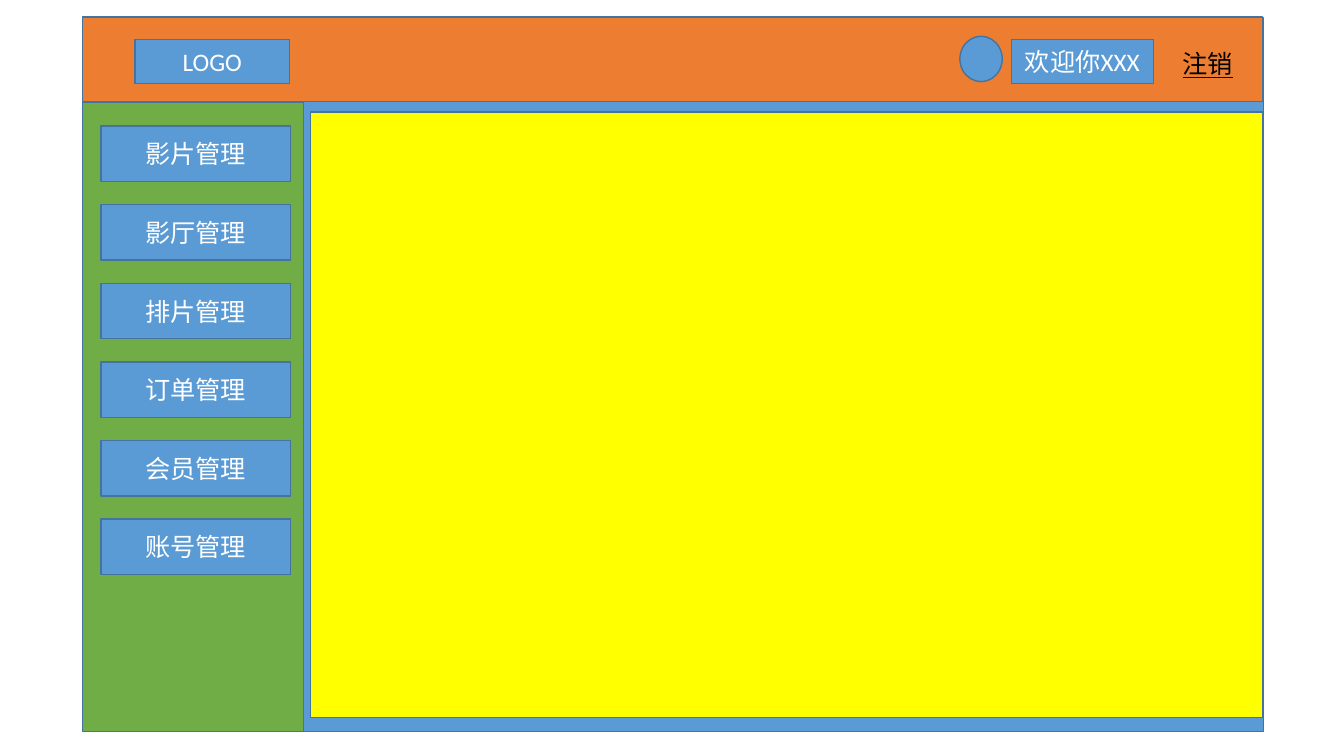
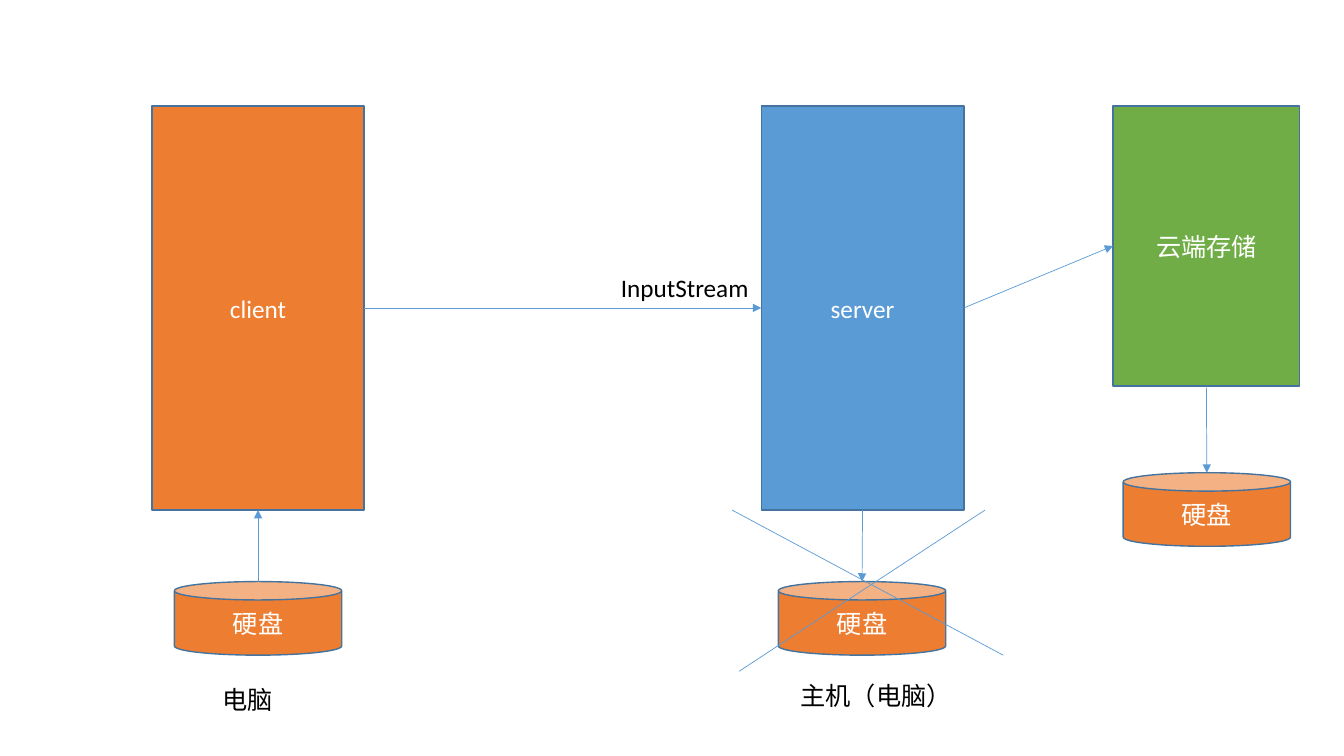
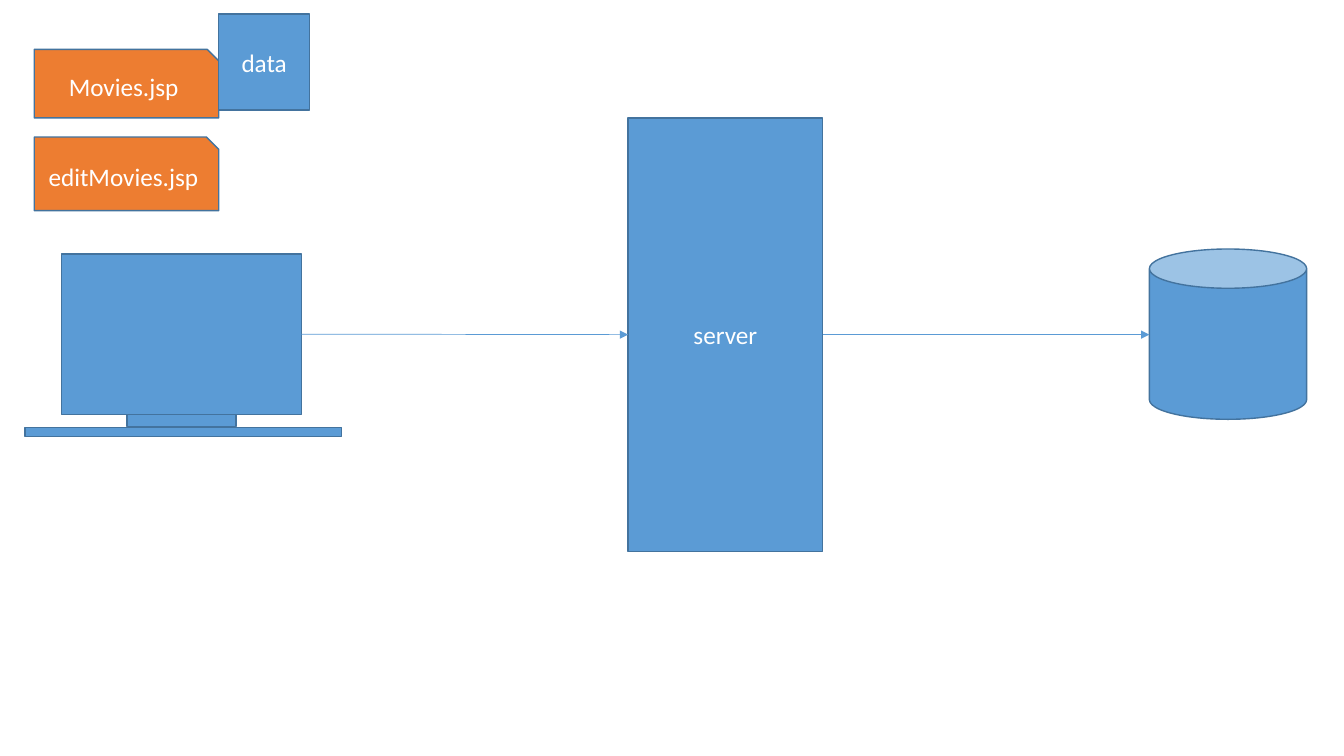
import dataclasses

import pptx
import pptx.dml.color
import pptx.enum.shapes
import pptx.enum.text
import pptx.oxml.ns
import pptx.util
from lxml import etree

KIND = pptx.enum.shapes.MSO_SHAPE
TOP, LEFT, BOTTOM, RIGHT = range(4)


@dataclasses.dataclass(frozen=True)
class Theme:
    blue: str = "5B9BD5"
    orange: str = "ED7D31"
    green: str = "70AD47"
    yellow: str = "FFFF00"
    outline: str = "43739E"
    light: str = "FFFFFF"
    dark: str = "000000"
    font: str = "Calibri"
    text_size: float = 18
    outline_width: float = 1
    connector_width: float = 0.5


THEME = Theme()

# Square grid of one-inch cells: all positions are (column, row)
CELL = pptx.util.Inches(1)
COLUMNS, ROWS = 13.33, 7.5


def grid(*cells):
    return [round(cell * CELL) for cell in cells]


def color(value):
    return pptx.dml.color.RGBColor.from_string(value)


# Element kinds

def write(shape, text, text_color, align, underline=None):
    frame = shape.text_frame
    frame.word_wrap = False
    frame.text = text
    paragraph = frame.paragraphs[0]
    paragraph.alignment = align
    for run in paragraph.runs:
        run.font.name = THEME.font
        run.font.size = pptx.util.Pt(THEME.text_size)
        run.font.color.rgb = color(text_color)
        run.font.underline = underline


def add_block(shapes, box, fill=THEME.blue, text="", kind=KIND.RECTANGLE):
    shape = shapes.add_shape(kind, *grid(*box))
    shape.shadow.inherit = False
    shape.fill.solid()
    shape.fill.fore_color.rgb = color(fill)
    shape.line.color.rgb = color(THEME.outline)
    shape.line.width = pptx.util.Pt(THEME.outline_width)
    if text:
        shape.text_frame.vertical_anchor = pptx.enum.text.MSO_ANCHOR.MIDDLE
        write(shape, text, THEME.light, pptx.enum.text.PP_ALIGN.CENTER)
    return shape


def add_caption(shapes, box, text, underline=None):
    caption = shapes.add_textbox(*grid(*box))
    write(caption, text, THEME.dark, pptx.enum.text.PP_ALIGN.LEFT, underline)


def add_line(shapes, start, end, arrow=True):
    """Each end is a (column, row) point or a (shape, side) pair."""
    points = [grid(*place) if isinstance(place[0], (int, float)) else (0, 0)
              for place in (start, end)]
    line = shapes.add_connector(pptx.enum.shapes.MSO_CONNECTOR.STRAIGHT,
                                *points[0], *points[1])
    for place, connect in ((start, line.begin_connect), (end, line.end_connect)):
        if not isinstance(place[0], (int, float)):
            connect(*place)
    line.line.color.rgb = color(THEME.blue)
    line.line.width = pptx.util.Pt(THEME.connector_width)
    properties = line.line._get_or_add_ln()
    if arrow:
        etree.SubElement(properties, pptx.oxml.ns.qn("a:tailEnd"), type="triangle")
    etree.SubElement(properties.getparent(), pptx.oxml.ns.qn("a:effectLst"))


def add_disk(shapes, center, top):
    """Draw a disk and return the middle of its top edge."""
    width, height = 1.66, 0.73
    add_block(shapes, (center - width / 2, top, width, height),
              THEME.orange, "硬盘", KIND.CAN)
    return center, top


# Slides

def build_admin_page(shapes):
    # Page frame and header
    left, top, width = 0.82, 0.17, 11.7
    header_height, header_row, button_height = 0.84, 0.39, 0.44
    add_block(shapes, (left + 0.01, top + 0.01, width, 7.08))
    add_block(shapes, (left, top, width, header_height), THEME.orange)
    add_block(shapes, (1.34, header_row, 1.53, button_height), text="LOGO")
    add_block(shapes, (10.03, header_row, 1.41, button_height), text="欢迎你XXX")
    add_caption(shapes, (11.63, 0.43, 0.71, 0.4), "注销", underline=True)
    add_block(shapes, (9.52, 0.36, 0.42, 0.45), kind=KIND.OVAL)

    # Side menu
    add_block(shapes, (left, top + header_height + 0.01, 2.19, 6.24), THEME.green)
    menu_top, menu_pitch = 1.25, 0.78
    for index, subject in enumerate(("影片", "影厅", "排片", "订单", "会员", "账号")):
        add_block(shapes, (1, menu_top + index * menu_pitch, 1.88, 0.55),
                  text=subject + "管理")

    # Content area
    add_block(shapes, (3.08, 1.11, 9.44, 6.01), THEME.yellow)


def build_upload_flow(shapes):
    # Machines
    top, height = 1.05, 4.01
    bottom = top + height
    server = add_block(shapes, (7.55, top, 2.01, height), text="server")
    client = add_block(shapes, (1.51, top, 2.1, height), THEME.orange, "client")
    storage = add_block(shapes, (11.04, top, 1.85, 2.78), THEME.green, "云端存储")

    # Disks and captions
    disk_row = 5.77
    client_disk = add_disk(shapes, 2.56, disk_row)
    server_disk = add_disk(shapes, 8.55, disk_row)
    storage_disk = add_disk(shapes, 11.97, 4.69)
    add_caption(shapes, (2.11, 6.74, 0.71, 0.4), "电脑")
    add_caption(shapes, (7.84, 6.7, 1.72, 0.4), "主机（电脑）")
    add_caption(shapes, (6.06, 2.65, 1.48, 0.4), "InputStream")

    # Data flow
    for start, end in ((client_disk, (client, BOTTOM)),
                       ((client, RIGHT), (server, LEFT)),
                       ((server, BOTTOM), server_disk),
                       ((storage, BOTTOM), storage_disk),
                       ((server, RIGHT), (storage, LEFT))):
        add_line(shapes, start, end)

    # Cross over the server disk
    add_line(shapes, (7.26, bottom), (9.95, 6.5), arrow=False)
    add_line(shapes, (9.77, bottom), (7.33, 6.66), arrow=False)


def build_page_flow(shapes):
    # Desktop computer: screen, stand, base
    computer = shapes.add_group_shape().shapes
    screen = add_block(computer, (0.61, 2.52, 2.38, 1.59))
    add_block(computer, (1.26, 4.11, 1.08, 0.12))
    add_block(computer, (0.25, 4.24, 3.14, 0.09))

    # Database and server
    database_left, flow_row = 11.4, 3.32
    add_block(shapes, (database_left, 2.47, 1.56, 1.69), kind=KIND.CAN)
    server = add_block(shapes, (6.23, 1.17, 1.93, 4.3), text="server")
    add_line(shapes, (screen, RIGHT), (server, LEFT))
    add_line(shapes, (server, RIGHT), (database_left, flow_row))

    # Pages and their data
    for row, height, name in ((0.49, 0.68, "Movies.jsp"),
                              (1.36, 0.73, "editMovies.jsp")):
        add_block(shapes, (0.34, row, 1.83, height), THEME.orange, name,
                  KIND.SNIP_1_RECTANGLE)
    add_block(shapes, (2.17, 0.14, 0.9, 0.95), text="data")


def main():
    presentation = pptx.Presentation()
    presentation.slide_width, presentation.slide_height = grid(COLUMNS, ROWS)
    blank_layout = presentation.slide_layouts[6]
    for build in (build_admin_page, build_upload_flow, build_page_flow):
        build(presentation.slides.add_slide(blank_layout).shapes)
    presentation.save("out.pptx")


if __name__ == "__main__":
    main()
